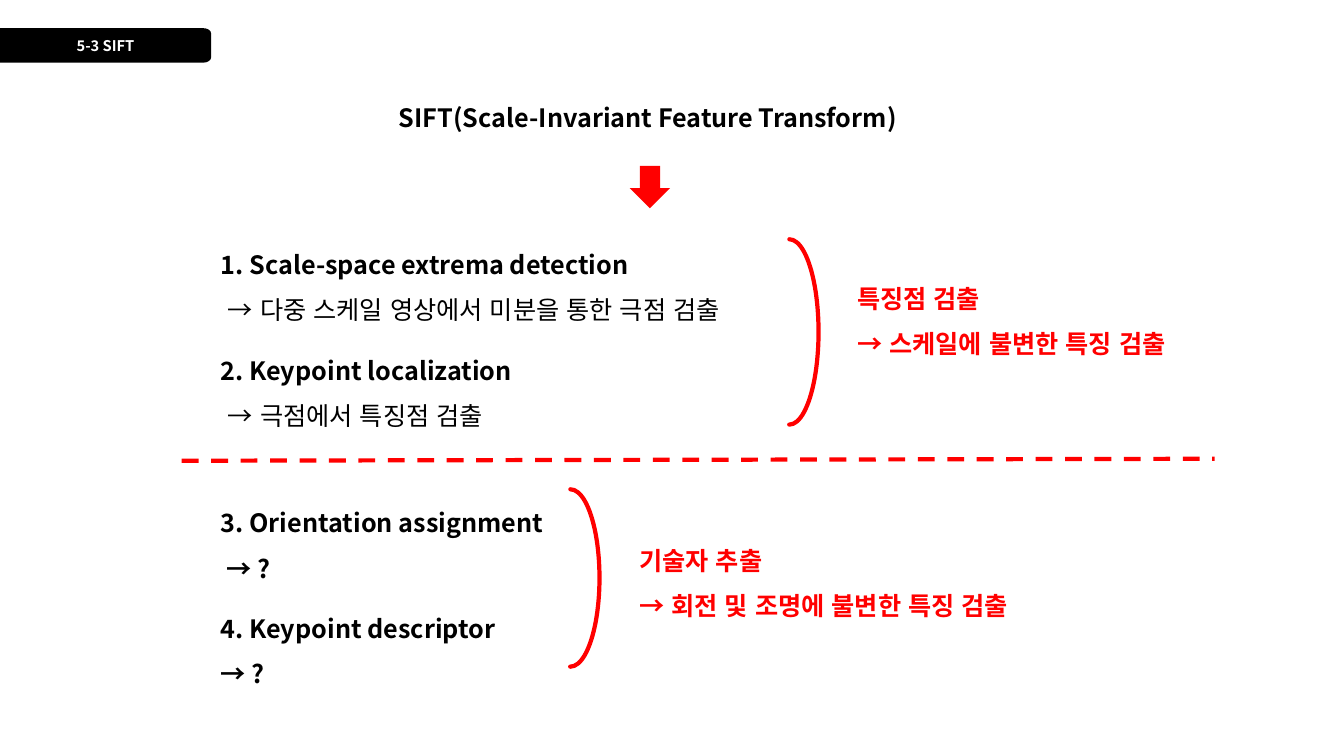
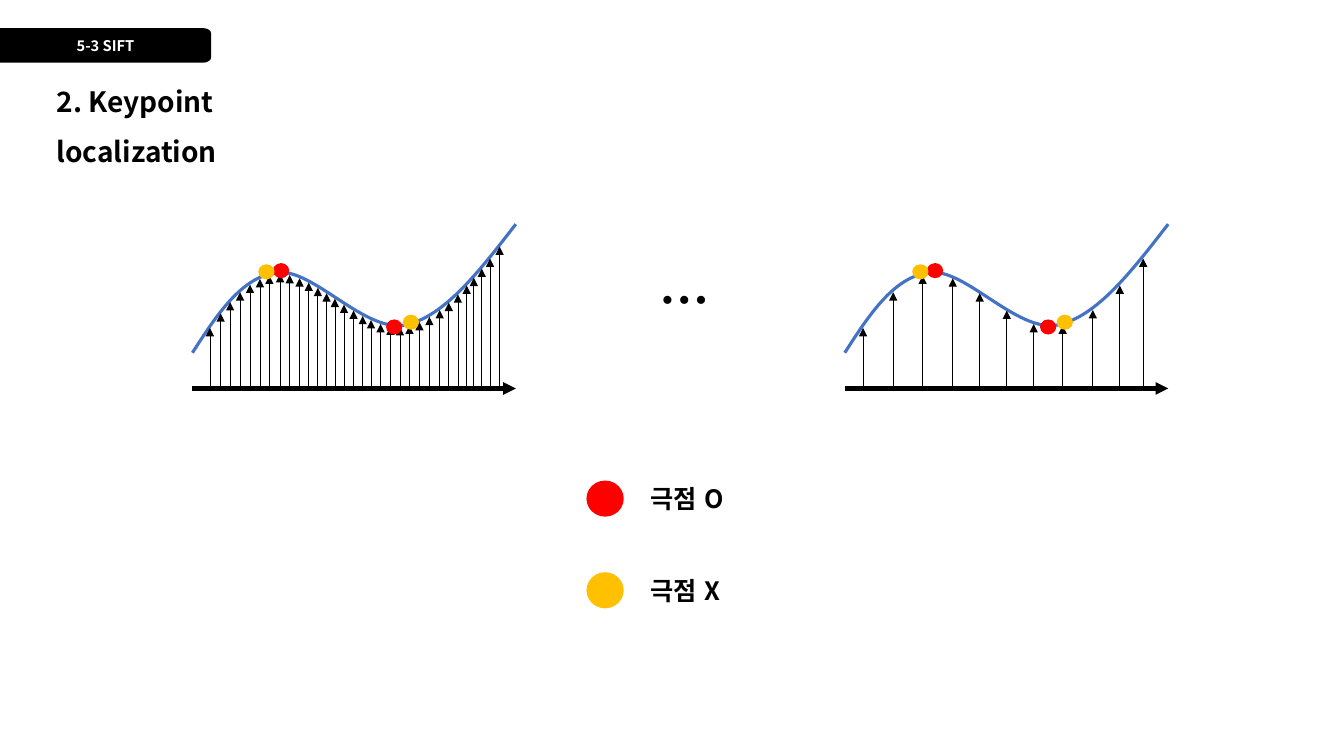
from collections import namedtuple

from lxml import etree
from pptx import Presentation
from pptx.dml.color import RGBColor
from pptx.enum.dml import MSO_LINE
from pptx.enum.lang import MSO_LANGUAGE_ID
from pptx.enum.shapes import MSO_CONNECTOR, MSO_SHAPE
from pptx.enum.text import MSO_ANCHOR, MSO_AUTO_SIZE, PP_ALIGN
from pptx.oxml.ns import qn
from pptx.util import Cm, Pt

STRAIGHT = MSO_CONNECTOR.STRAIGHT
ELLIPSE = MSO_SHAPE.OVAL
ARC = MSO_SHAPE.ARC
DOWN_ARROW = MSO_SHAPE.DOWN_ARROW
DASH = MSO_LINE.DASH
KOREAN = MSO_LANGUAGE_ID.KOREAN
LEFT, CENTER = PP_ALIGN.LEFT, PP_ALIGN.CENTER
TOP, MIDDLE = MSO_ANCHOR.TOP, MSO_ANCHOR.MIDDLE
NO_AUTOFIT = MSO_AUTO_SIZE.NONE

COLORS = {
    "ink": "000000",
    "paper": "FFFFFF",
    "accent": "FF0000",
    "other": "FFC000",
    "curve": "4472C4",
}
FONT = "Noto Sans CJK KR"
TWO_CONTENT, TITLE_ONLY = 3, 5

Box = namedtuple("Box", "left top width height")
Line = namedtuple("Line", "text bold spacing", defaults=(True, 1.0))

SIGNAL = [
    (0, 3.24), (0.61, 2.29), (1.24, 1.32), (2.13, 1.22), (3.02, 1.09),
    (4.34, 2.74), (5.36, 2.54), (6.35, 2.34), (7.24, 1.17), (8.15, 0),
]
SAMPLES = [
    0.44, 0.71, 0.95, 1.2, 1.45, 1.7, 1.94, 2.21, 2.45, 2.7, 2.93,
    3.16, 3.38, 3.59, 3.82, 4.06, 4.29, 4.5, 4.74, 4.99, 5.23, 5.47,
    5.72, 5.97, 6.23, 6.46, 6.69, 6.91, 7.09, 7.29, 7.5, 7.74,
]
EXTREMA = [
    (2.03, 0.98, "accent"), (4.88, 2.4, "accent"),
    (1.66, 1.01, "other"), (5.3, 2.28, "other"),
]
ARROW_GAP = 0.04


def rgb(color):
    return RGBColor.from_string(COLORS[color])


def emu(box):
    return [Cm(length) for length in box]


def write(frame, lines, size=18, color="ink", align=LEFT, anchor=TOP):
    frame.word_wrap = True
    frame.auto_size = NO_AUTOFIT
    frame.vertical_anchor = anchor
    for index, line in enumerate(lines):
        paragraph = frame.add_paragraph() if index else frame.paragraphs[0]
        paragraph.alignment = align
        paragraph.line_spacing = line.spacing
        paragraph.space_before = Pt(0)
        properties = paragraph._p.get_or_add_pPr()
        properties.set("marL", "0")
        properties.set("indent", "0")
        etree.SubElement(properties, qn("a:buNone"))
        run = paragraph.add_run()
        run.text = line.text
        font = run.font
        font.size, font.bold, font.name = Pt(size), line.bold, FONT
        font.language_id = KOREAN
        font.color.rgb = rgb(color)
        east_asian = etree.SubElement(run._r.get_or_add_rPr(), qn("a:ea"))
        east_asian.set("typeface", FONT)


def fill_placeholder(placeholder, box, lines, size=18):
    placeholder.left, placeholder.top, placeholder.width, placeholder.height = emu(box)
    write(placeholder.text_frame, lines, size)


def add_text(slide, box, lines, size=18, color="ink"):
    write(slide.shapes.add_textbox(*emu(box)).text_frame, lines, size, color)


def paint(shape, fill=None, line=None, width=1):
    shape.shadow.inherit = False
    if fill:
        shape.fill.solid()
        shape.fill.fore_color.rgb = rgb(fill)
    else:
        shape.fill.background()
    if line:
        shape.line.color.rgb = rgb(line)
        shape.line.width = Pt(width)
    else:
        shape.line.fill.background()


def add_preset(slide, preset, box, fill=None, line=None, width=1):
    shape = slide.shapes.add_shape(preset, *emu(box))
    paint(shape, fill, line, width)
    return shape


def add_line(slide, start, end, color, width, dash=None, arrow=False):
    connector = slide.shapes.add_connector(STRAIGHT, *emu(start + end))
    connector.line.color.rgb = rgb(color)
    connector.line.width = Pt(width)
    if dash:
        connector.line.dash_style = dash
    properties = connector.element.spPr
    if arrow:
        head = etree.SubElement(properties.find(qn("a:ln")), qn("a:tailEnd"))
        head.set("type", "triangle")
    etree.SubElement(properties, qn("a:effectLst"))


def add_outline(slide, box, points, curve_starts, closed):
    places = [(Cm(box.left + x), Cm(box.top + y)) for x, y in points]
    builder = slide.shapes.build_freeform(*places[0])
    builder.add_line_segments(places[1:], close=closed)
    outline = builder.convert_to_shape()
    segments = list(outline.element.iter(qn("a:lnTo")))
    for start in curve_starts:
        first, *rest = segments[start:start + 3]
        first.tag = qn("a:cubicBezTo")
        for segment in rest:
            first.append(segment[0])
            segment.getparent().remove(segment)
    return outline


def add_section_band(slide, box):
    across, down = 0.2, 0.13
    right, bottom = box.width, box.height
    upper = [
        (right - across, 0), (right - across * 0.45, 0),
        (right, down * 0.45), (right, down),
    ]
    lower = [(x, bottom - y) for x, y in reversed(upper)]
    band = add_outline(slide, box, [(0, 0), *upper, *lower, (0, bottom)], (1, 5), True)
    paint(band, "ink")
    write(band.text_frame, [Line("5-3 SIFT")], 10.5, "paper", CENTER, MIDDLE)


def new_slide(deck, layout, title_box, title, size):
    slide = deck.slides.add_slide(deck.slide_layouts[layout])
    add_section_band(slide, Box(0, 0.71, 5.32, 0.87))
    fill_placeholder(slide.shapes.title, title_box, [title], size)
    return slide


def add_stage(slide, steps, box, lines, bracket, note, note_lines):
    fill_placeholder(steps, box, lines)
    arc = add_preset(slide, ARC, bracket, line="accent", width=3)
    arc.adjustments[0], arc.adjustments[1] = 162, 54.06
    arc.element.spPr.find(qn("a:ln")).set("cap", "rnd")
    add_text(slide, note, [Line(text, True, 1.5) for text in note_lines], color="accent")


def build_overview(deck):
    slide = new_slide(deck, TWO_CONTENT, Box(9.8, 2.46, 14.05, 1.02),
                      Line("SIFT(Scale-Invariant Feature Transform)"), 18)
    add_preset(slide, DOWN_ARROW, Box(15.87, 4.18, 1.02, 1.07), "accent")
    add_stage(
        slide, slide.placeholders[1], Box(5.31, 5.77, 17.37, 5.26),
        [
            Line("1. Scale-space extrema detection", True, 1.5),
            Line(" → 다중 스케일 영상에서 미분을 통한 극점 검출", False, 1.5),
            Line("2. Keypoint localization", True, 2.0),
            Line(" → 극점에서 특징점 검출", False, 1.5),
        ],
        Box(19.16, 6.03, 1.47, 4.67), Box(21.35, 6.63, 10.36, 2.41),
        ["특징점 검출", "→ 스케일에 불변한 특징 검출"],
    )
    add_line(slide, (4.58, 11.61), (30.61, 11.56), "accent", 3, dash=DASH)
    add_stage(
        slide, slide.placeholders[2], Box(5.31, 11.9, 16.94, 5.64),
        [
            Line("3. Orientation assignment", True, 2.0),
            Line(" → ?", True, 1.5),
            Line("4. Keypoint descriptor", True, 2.0),
            Line("→ ?", True, 1.5),
        ],
        Box(13.64, 12.33, 1.47, 4.47), Box(15.86, 13.23, 13.56, 2.41),
        ["기술자 추출", "→ 회전 및 조명에 불변한 특징 검출"],
    )


def curve_points(controls, steps=30):
    points = [controls[0]]
    for first in range(0, len(controls) - 1, 3):
        segment = controls[first:first + 4]
        for step in range(1, steps + 1):
            t = step / steps
            weights = ((1 - t) ** 3, 3 * t * (1 - t) ** 2, 3 * t * t * (1 - t), t ** 3)
            points.append(tuple(
                sum(weight * point[axis] for weight, point in zip(weights, segment))
                for axis in (0, 1)
            ))
    return points


def height_at(x, points):
    for (x0, y0), (x1, y1) in zip(points, points[1:]):
        if x0 <= x <= x1:
            return y0 + (y1 - y0) * (x - x0) / (x1 - x0)
    return points[-1][1]


def add_sampled_signal(slide, box, samples, shift=0):
    base = box.top + box.height
    add_line(slide, (box.left, base), (box.left + box.width, base), "ink", 3, arrow=True)
    signal = add_outline(slide, box, SIGNAL, (0, 3, 6), False)
    paint(signal, line="curve", width=2.25)
    points = curve_points(SIGNAL)
    for x in samples:
        left = box.left + x + shift / 2
        top = box.top + height_at(x, points) + ARROW_GAP
        add_line(slide, (left, base), (left, top), "ink", 0.5, arrow=True)
    for x, y, color in EXTREMA:
        dot = Box(box.left + x + shift, box.top + y, 0.41, 0.38)
        add_preset(slide, ELLIPSE, dot, color)


def add_legend(slide, box):
    step = box.height / 2
    for row, (color, label) in enumerate([("accent", "극점 O"), ("other", "극점 X")]):
        top = box.top + row * step
        add_preset(slide, ELLIPSE, Box(box.left, top + 0.05, 0.94, 0.91), color)
        add_text(slide, Box(box.left + 1.37, top, box.width - 1.37, 1.02), [Line(label)])


def build_localization(deck):
    slide = new_slide(deck, TITLE_ONLY, Box(1.17, 1.57, 8.46, 1.55),
                      Line("2. Keypoint localization", True, 1.5), 20)
    add_sampled_signal(slide, Box(4.85, 5.65, 8.15, 4.14), SAMPLES)
    add_text(slide, Box(16.36, 6.65, 7.65, 1.8), [Line("…")], 36)
    add_sampled_signal(slide, Box(21.29, 5.65, 8.15, 4.14), SAMPLES[::3], 0.04)
    add_legend(slide, Box(14.78, 12.06, 11.6, 4.62))


def main():
    deck = Presentation()
    deck.slide_width, deck.slide_height = Cm(33.87), Cm(19.05)
    build_overview(deck)
    build_localization(deck)
    deck.save("out.pptx")


if __name__ == "__main__":
    main()
